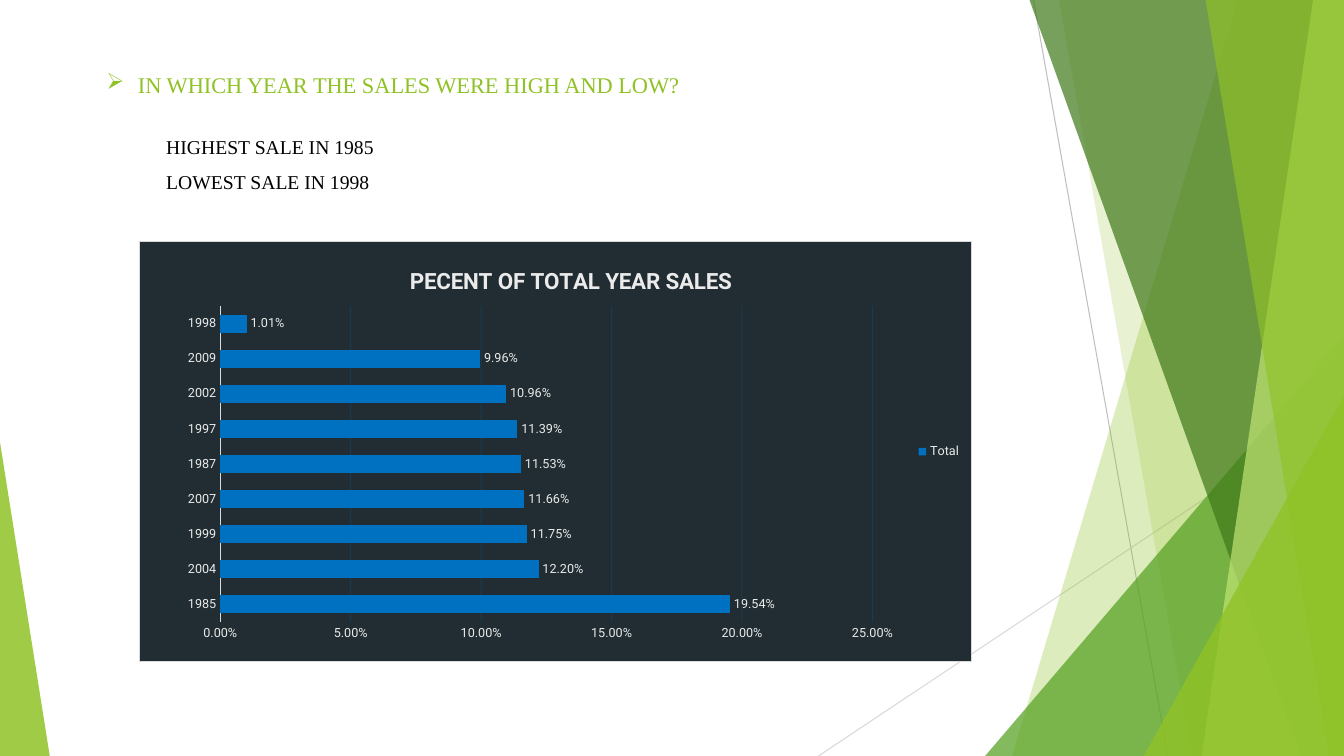
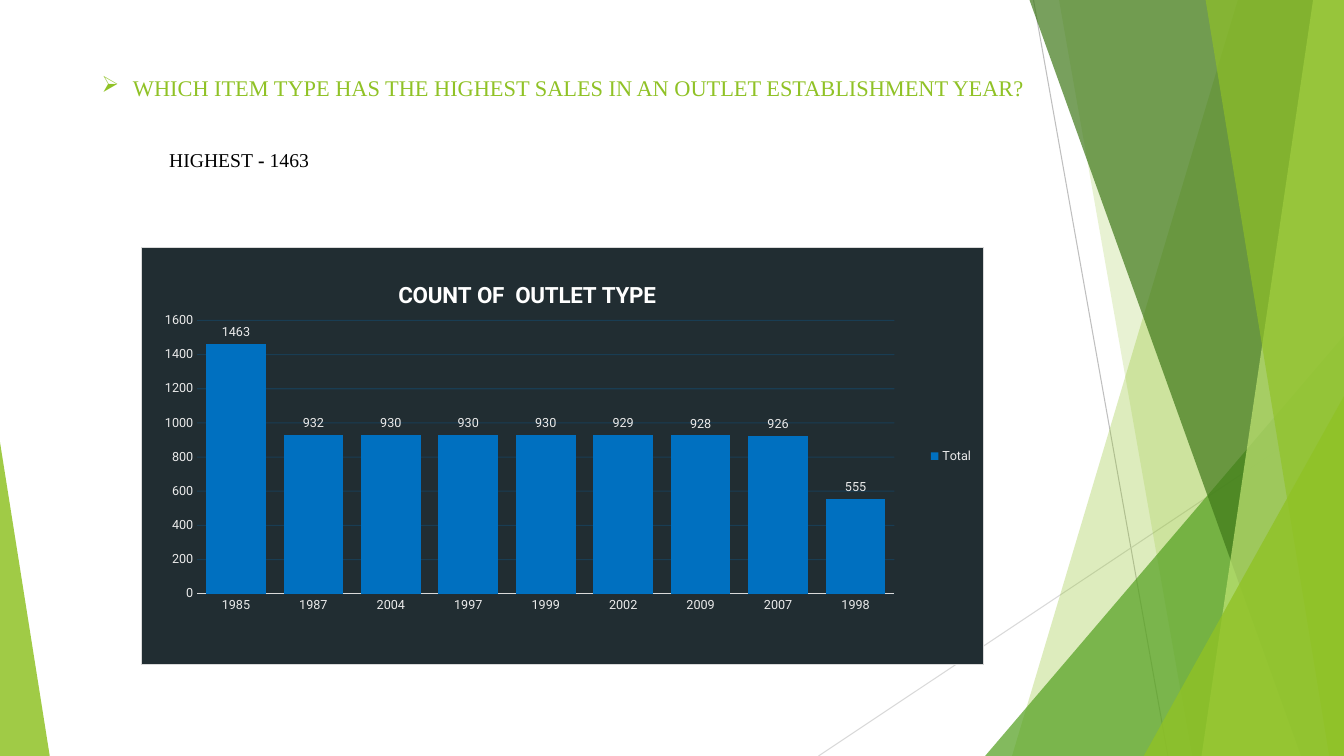
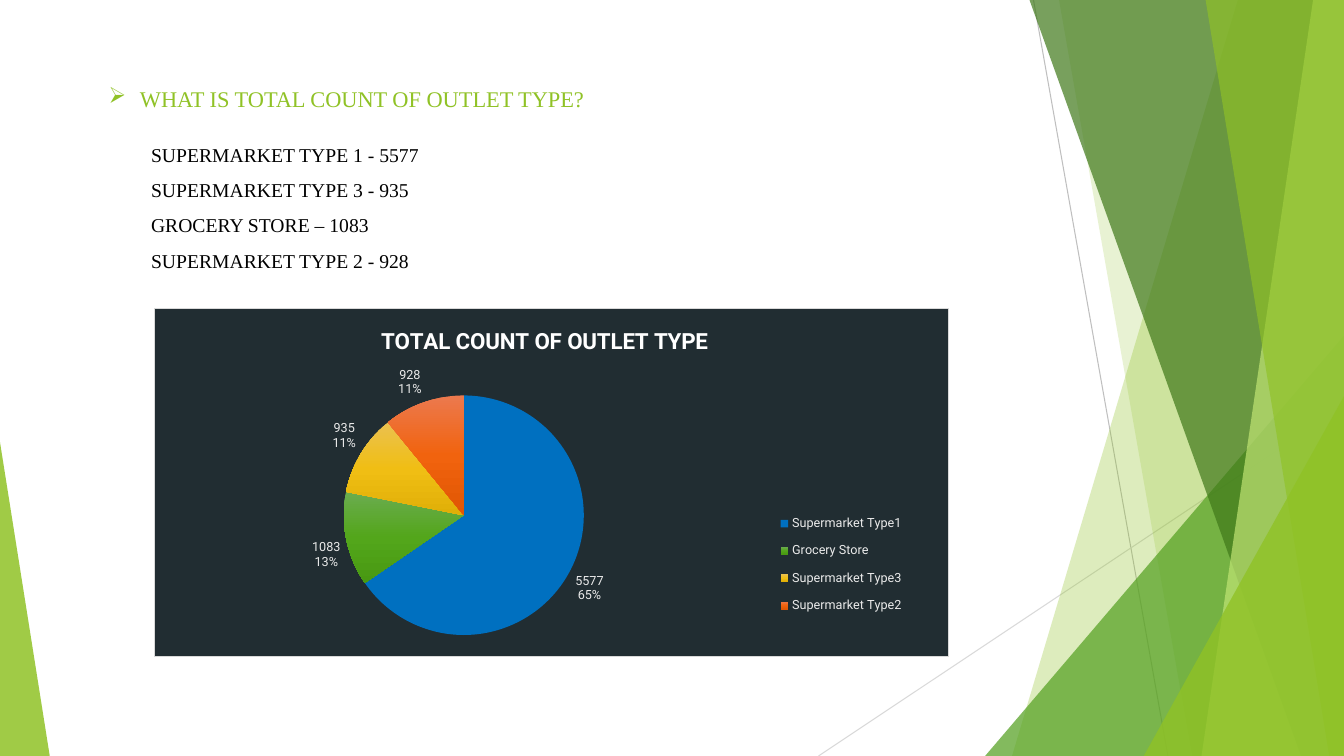
"""Build three sales question slides with charts over a shared faceted backdrop."""
from copy import deepcopy
from dataclasses import dataclass

from lxml.etree import SubElement
from pptx import Presentation
from pptx.chart.data import CategoryChartData
from pptx.dml.color import RGBColor
from pptx.enum.chart import XL_CHART_TYPE, XL_LABEL_POSITION, XL_LEGEND_POSITION, XL_TICK_MARK
from pptx.enum.shapes import MSO_CONNECTOR, MSO_SHAPE
from pptx.enum.text import MSO_AUTO_SIZE
from pptx.oxml import parse_xml
from pptx.oxml.ns import nsdecls, qn
from pptx.util import Inches, Pt


@dataclass(frozen=True)
class Theme:
    green: str = "90C226"
    leaf: str = "54A021"
    forest: str = "3F7819"
    lime: str = "C0E474"
    ink: str = "000000"
    white: str = "FFFFFF"
    pale: str = "EBEBEB"
    panel: str = "212D32"
    blue: str = "0070C0"
    rule: str = "D9D9D9"
    dark_rule: str = "BFBFBF"
    serif: str = "Times New Roman"
    sans: str = "Roboto"
    heading: int = 16
    body: int = 14
    label: int = 9
    hairline: float = 0.75
    leading: float = 1.5


THEME = Theme()
WIDTH, HEIGHT = Inches(13.33), Inches(7.5)

RULES = [((76.9, 0), (86.9, 100), THEME.dark_rule), ((100, 53.7), (60.9, 100), THEME.rule)]
FACETS = [
    ("band", (92.1, 75.3), THEME.green, 30),
    ("band", (78.8, 88.7), THEME.green, 20),
    ("corner", (73.3, 44.4, 100, 1), THEME.leaf, 72),
    ("band", (76.6, 96.8), THEME.forest, 70),
    ("band", (97.7, 89.4), THEME.lime, 70),
    ("band", (89.7, 98.9), THEME.green, 65),
    ("corner", (85.1, 52.4, 100, 1), THEME.green, 80),
    ("corner", (0, 58.5, 3.7, 0), THEME.green, 85),
]
SLICES = [
    [THEME.blue],
    ["6BAC4F", "53A61B", "489912"],
    ["EBC14F", "F0BE14", "E0AF07"],
    ["EC794E", "F1630E", "E05603"],
]
SLIDES = [
    {
        "question": "IN WHICH YEAR THE SALES WERE HIGH AND LOW?",
        "question_box": (7.2, 6.93, 62.9, 6.13),
        "answers": [["HIGHEST SALE IN 1985"], ["LOWEST SALE IN 1998"]],
        "answer_box": (11.63, 15.6, 18.9, 10.27),
        "chart": {
            "kind": XL_CHART_TYPE.BAR_CLUSTERED,
            "box": (10.35, 31.87, 61.97, 55.73),
            "title": "PECENT OF TOTAL YEAR SALES",
            "title_color": THEME.pale,
            "title_at": (0.32, 0.05),
            "plot_at": (0.097, 0.154, 0.784, 0.751),
            "series": "Total",
            "values": {"1985": 0.1954, "2004": 0.122, "1999": 0.1175, "2007": 0.1166, "1987": 0.1153,
                       "1997": 0.1139, "2002": 0.1096, "2009": 0.0996, "1998": 0.0101},
            "bars": {"gap_width": 95},
            "scale": {"minimum_scale": 0, "maximum_scale": 0.25, "major_unit": 0.05},
            "number_format": "0.00%",
            "grid_opacity": 22,
        },
    },
    {
        "question": "WHICH ITEM TYPE HAS THE HIGHEST SALES IN AN OUTLET ESTABLISHMENT YEAR?",
        "question_box": (6.83, 7.33, 70.9, 6.13),
        "answers": [["HIGHEST", " - ", "1463"]],
        "answer_box": (11.85, 17.4, 15.15, 6.13),
        "chart": {
            "kind": XL_CHART_TYPE.COLUMN_CLUSTERED,
            "box": (10.5, 32.67, 62.72, 55.33),
            "title": "COUNT OF  OUTLET TYPE",
            "title_color": THEME.white,
            "title_at": (0.3, 0.07),
            "plot_at": (0.066, 0.175, 0.828, 0.655),
            "series": "Total",
            "values": {"1985": 1463, "1987": 932, "2004": 930, "1997": 930, "1999": 930,
                       "2002": 929, "2009": 928, "2007": 926, "1998": 555},
            "bars": {"gap_width": 30, "overlap": -27},
            "scale": {"minimum_scale": 0, "maximum_scale": 1600, "major_unit": 200},
            "number_format": "General",
            "grid_opacity": 24,
        },
    },
    {
        "question": "WHAT IS TOTAL COUNT OF OUTLET TYPE?",
        "question_box": (7.35, 8.8, 59.8, 6.13),
        "answers": [["SUPERMARKET TYPE 1 - 5577"], ["SUPERMARKET TYPE 3 - 935"],
                    ["GROCERY STORE – 1083"], ["SUPERMARKET TYPE 2 - 928"]],
        "answer_box": (10.5, 16.67, 26.03, 19.6),
        "chart": {
            "kind": XL_CHART_TYPE.PIE,
            "box": (11.48, 40.8, 59.11, 46.13),
            "title": "TOTAL COUNT OF OUTLET TYPE",
            "title_color": THEME.white,
            "title_at": (0.28, 0.04),
            "plot_at": (0.041, 0.249, 0.697, 0.689),
            "legend_at": (0.77, 0.56, 0.19, 0.35),
            "series": "Series 1",
            "values": {"Supermarket Type1": 5577, "Grocery Store": 1083,
                       "Supermarket Type3": 935, "Supermarket Type2": 928},
        },
    },
]


def across(share):
    return round(WIDTH * share / 100)


def down(share):
    return round(HEIGHT * share / 100)


def frame(box):
    left, top, width, height = box
    return across(left), down(top), across(width), down(height)


def apply(target, values):
    for name, value in values.items():
        setattr(target, name, value)


def set_font(font, size, color, face=THEME.sans, bold=False):
    apply(font, {"name": face, "size": Pt(size), "bold": bold})
    font.color.rgb = RGBColor.from_string(color)


def paint(fill, color):
    fill.solid()
    fill.fore_color.rgb = RGBColor.from_string(color)


def stroke(line, color):
    paint(line.fill, color)
    line.width = Pt(THEME.hairline)


def fade(element, opacity):
    for color in element.xpath(".//a:srgbClr"):
        SubElement(color, qn("a:alpha"), val=str(opacity * 1000))


def draw_facet(shapes, kind, geometry, color, opacity):
    if kind == "band":
        top, bottom = geometry
        outline = shapes.build_freeform(across(top), 0, scale=1.0)
        outline.add_line_segments([(WIDTH, 0), (WIDTH, HEIGHT), (across(bottom), HEIGHT)])
        facet = outline.convert_to_shape()
    else:
        left, top, right, apex = geometry
        facet = shapes.add_shape(MSO_SHAPE.ISOSCELES_TRIANGLE, *frame((left, top, right - left, 100 - top)))
        facet.adjustments[0] = apex
    facet.shadow.inherit = False
    paint(facet.fill, color)
    facet.line.fill.background()
    fade(facet.element.spPr, opacity)


def draw_backdrop(slide, layout):
    for placeholder in list(layout.placeholders):
        layout.shapes.element.remove(placeholder.element)
    for start, end, color in RULES:
        rule = slide.shapes.add_connector(
            MSO_CONNECTOR.STRAIGHT, across(start[0]), down(start[1]), across(end[0]), down(end[1]))
        stroke(rule.line, color)
        SubElement(rule.element.spPr, qn("a:effectLst"))
    for facet in FACETS:
        draw_facet(slide.shapes, *facet)
    for part in list(slide.shapes):
        layout.shapes.element.append(part.element)


def add_text(slide, box, lines, size, color, bullet=None):
    text = slide.shapes.add_textbox(*frame(box)).text_frame
    apply(text, {"word_wrap": True, "auto_size": MSO_AUTO_SIZE.SHAPE_TO_FIT_TEXT})
    for index, pieces in enumerate(lines):
        paragraph = text.add_paragraph() if index else text.paragraphs[0]
        paragraph.line_spacing = THEME.leading
        if bullet:
            properties = paragraph._p.get_or_add_pPr()
            properties.set("marL", str(Inches(0.31)))
            properties.set("indent", str(-Inches(0.31)))
            SubElement(properties, qn("a:buChar"), char=bullet)
        for order, piece in enumerate(pieces):
            run = paragraph.add_run()
            run.text = piece
            set_font(run.font, size, color, THEME.serif, bold=order % 2 == 1)


def arrange(part, index, shares, target=""):
    for layout in part.xpath("c:layout"):
        part.remove(layout)
    names = "xywh"[:len(shares)]
    modes = "".join(f'<c:{name}Mode val="edge"/>' for name in names[:2])
    sizes = "".join(f'<c:{name} val="{share}"/>' for name, share in zip(names, shares))
    part.insert(index, parse_xml(
        f'<c:layout {nsdecls("c")}><c:manualLayout>{target}{modes}{sizes}</c:manualLayout></c:layout>'))


def style_bars(chart, content):
    plot = chart.plots[0]
    apply(plot, content["bars"])
    paint(plot.series[0].format.fill, THEME.blue)
    apply(plot.data_labels, {"number_format": content["number_format"], "number_format_is_linked": False,
                             "position": XL_LABEL_POSITION.OUTSIDE_END})
    for axis in (chart.category_axis, chart.value_axis):
        apply(axis, {"major_tick_mark": XL_TICK_MARK.NONE, "minor_tick_mark": XL_TICK_MARK.NONE})
        set_font(axis.tick_labels.font, THEME.label, THEME.pale)
    stroke(chart.category_axis.format.line, THEME.rule)
    values = chart.value_axis
    apply(values, {"has_major_gridlines": True, **content["scale"]})
    apply(values.tick_labels, {"number_format": content["number_format"], "number_format_is_linked": False})
    values.format.line.fill.background()
    stroke(values.major_gridlines.format.line, THEME.blue)
    fade(chart.element.xpath(".//c:majorGridlines")[0], content["grid_opacity"])


def style_pie(chart, content):
    plot = chart.plots[0]
    apply(plot.data_labels, {"show_percentage": True, "position": XL_LABEL_POSITION.OUTSIDE_END})
    for flag in chart.element.xpath(".//c:dLbls/c:showBubbleSize"):
        flag.addnext(parse_xml(f'<c:separator {nsdecls("c")}>\n</c:separator>'))
    for index, colors in enumerate(SLICES):
        fill = plot.series[0].points[index].format.fill
        if len(colors) == 1:
            paint(fill, colors[0])
            continue
        fill.gradient()
        fill.gradient_angle = 270
        stops = chart.element.xpath(".//c:dPt//a:gsLst")[-1]
        stops.insert(1, deepcopy(stops[0]))
        for order, (stop, color) in enumerate(zip(fill.gradient_stops, colors)):
            stop.position = order / 2
            stop.color.rgb = RGBColor.from_string(color)
    arrange(chart.legend._element, 1, content["legend_at"])


def add_sales_chart(slide, content):
    sales = CategoryChartData()
    sales.categories = list(content["values"])
    sales.add_series(content["series"], list(content["values"].values()))
    chart = slide.shapes.add_chart(content["kind"], *frame(content["box"]), sales).chart
    set_font(chart.font, 10, THEME.ink)
    apply(chart, {"has_title": True, "has_legend": True})
    title = chart.chart_title.text_frame.paragraphs[0].add_run()
    title.text = content["title"]
    set_font(title.font, THEME.heading, content["title_color"], bold=True)
    apply(chart.legend, {"position": XL_LEGEND_POSITION.RIGHT, "include_in_layout": False})
    set_font(chart.legend.font, THEME.label, THEME.pale)
    plot = chart.plots[0]
    is_pie = content["kind"] == XL_CHART_TYPE.PIE
    apply(plot, {"has_data_labels": True, "vary_by_categories": is_pie})
    plot.data_labels.show_value = True
    set_font(plot.data_labels.font, THEME.label, THEME.pale)
    (style_pie if is_pie else style_bars)(chart, content)
    arrange(chart.element.xpath(".//c:plotArea")[0], 0, content["plot_at"], '<c:layoutTarget val="inner"/>')
    arrange(chart.element.xpath("c:chart/c:title")[0], 1, content["title_at"])
    chart.element.xpath("c:txPr")[0].addprevious(parse_xml(
        f'<c:spPr {nsdecls("c", "a")}><a:solidFill><a:srgbClr val="{THEME.panel}"/></a:solidFill>'
        f'<a:ln w="{Pt(THEME.hairline)}"><a:solidFill><a:srgbClr val="{THEME.rule}"/></a:solidFill></a:ln></c:spPr>'))


def main():
    deck = Presentation()
    apply(deck, {"slide_width": WIDTH, "slide_height": HEIGHT})
    blank = deck.slide_layouts[6]
    for index, content in enumerate(SLIDES):
        slide = deck.slides.add_slide(blank)
        if index == 0:
            draw_backdrop(slide, blank)
        add_text(slide, content["question_box"], [[content["question"]]], THEME.heading, THEME.green, "➢")
        add_text(slide, content["answer_box"], content["answers"], THEME.body, THEME.ink)
        add_sales_chart(slide, content["chart"])
    deck.save("out.pptx")


if __name__ == "__main__":
    main()
